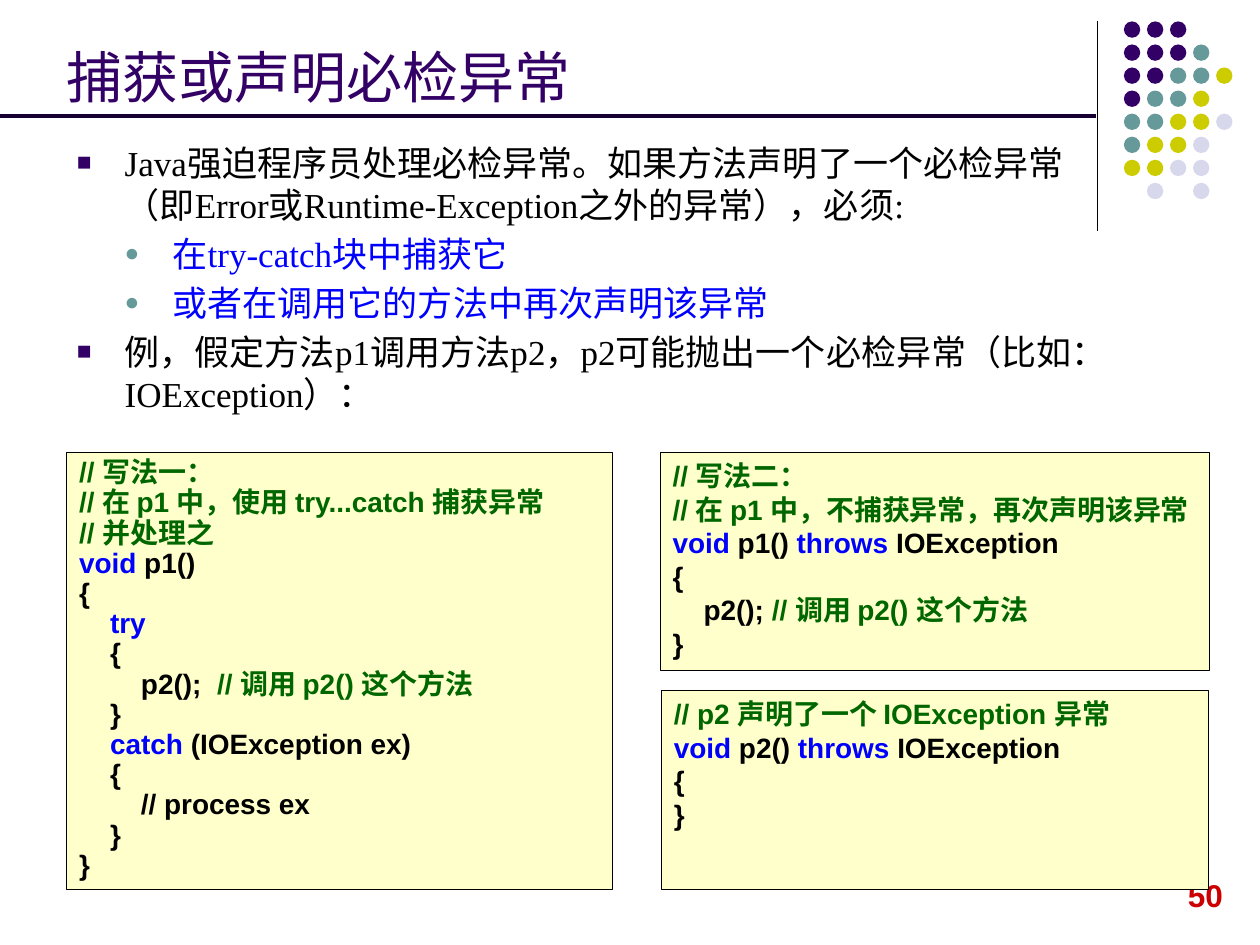
import pptx
import pptx.dml.color
import pptx.enum.shapes
import pptx.enum.text
import pptx.oxml.ns
import pptx.util
import lxml.etree

HUES = {
    "plum": "330066", "teal": "669999", "lime": "CCCC00", "mist": "D8D8EC",
    "rule": "190033", "black": "000000", "blue": "0000FF", "green": "006600",
    "red": "CC0000", "cream": "FFFFCC",
}
CJK = "Noto Sans CJK SC"
DOTS = ["PPP", "PPPT", "PPTTL", "PTTL", "TTLLM", "TLLM", "LLMM", " M M"]
DOT_HUES = {"P": "plum", "T": "teal", "L": "lime", "M": "mist"}
COLS, ROWS = 100, 75

POINTS = [
    (0, "black", ["Java", "强迫程序员处理必检异常。如果方法声明了一个必检异常（即", "Error", "或",
                  "Runtime-Exception", "之外的异常），必须", ":"]),
    (1, "blue", ["在", "try-catch", "块中捕获它"]),
    (1, "blue", ["或者在调用它的方法中再次声明该异常"]),
    (0, "black", ["例，假定方法", "p1", "调用方法", "p2", "，", "p2", "可能抛出一个必检异常（比如：",
                  "IOException", "）："]),
]
CATCH = [
    [("green", "// 写法一：")],
    [("green", "// 在 p1 中，使用 try...catch 捕获异常")],
    [("green", "// 并处理之")],
    [("blue", "void"), ("black", " p1()")],
    [("black", "{")],
    [("blue", "    try")],
    [("black", "    {")],
    [("black", "        p2();  "), ("green", "// 调用 p2() 这个方法")],
    [("black", "    }")],
    [("blue", "    catch"), ("black", " (IOException ex)")],
    [("black", "    {")],
    [("black", "        // process ex")],
    [("black", "    }")],
    [("black", "}")],
]
THROW = [
    [("green", "// 写法二：")],
    [("green", "// 在 p1 中，不捕获异常，再次声明该异常")],
    [("blue", "void"), ("black", " p1() "), ("blue", "throws "), ("black", "IOException")],
    [("black", "{")],
    [("black", "    p2(); "), ("green", "// 调用 p2() 这个方法")],
    [("black", "}")],
]
CALLEE = [
    [("green", "// p2 声明了一个 IOException 异常")],
    [("blue", "void"), ("black", " p2() "), ("blue", "throws"), ("black", " IOException")],
    [("black", "{")],
    [("black", "}")],
]


def grid(*cells):
    """Turn counts of grid cells, a tenth of an inch each, into lengths."""
    return [pptx.util.Inches(cell / 10) for cell in cells]


def paint(hue):
    """Look up a colour by name."""
    return pptx.dml.color.RGBColor.from_string(HUES[hue])


def add_sub(parent, tag, **attrs):
    """Add a drawing element under a parent."""
    return lxml.etree.SubElement(parent, pptx.oxml.ns.qn(tag), **attrs)


def add_run(para, text, hue, size, face, bold=False):
    """Add one run with its Latin and East Asian fonts."""
    run = para.add_run()
    run.text = text
    run.font.size = pptx.util.Pt(size)
    run.font.bold = bold
    run.font.color.rgb = paint(hue)
    run.font.name = face
    add_sub(run.font._element, "a:ea", typeface=CJK)


def next_para(frame, index):
    """Give the first paragraph, or a new one after it."""
    return frame.add_paragraph() if index else frame.paragraphs[0]


def add_line(slide, ends, hue, width):
    """Draw a straight line without a shadow."""
    line = slide.shapes.add_connector(
        pptx.enum.shapes.MSO_CONNECTOR.STRAIGHT, *grid(*ends))
    line.line.color.rgb = paint(hue)
    line.line.width = pptx.util.Pt(width)
    add_sub(line._element.spPr, "a:effectLst")


def add_dots(slide, left, top, step, size):
    """Draw the dot pattern on an even grid."""
    for row, marks in enumerate(DOTS):
        for col, mark in enumerate(marks):
            if mark in DOT_HUES:
                dot = slide.shapes.add_shape(
                    pptx.enum.shapes.MSO_SHAPE.OVAL,
                    *grid(left + col * step, top + row * step, size, size))
                dot.shadow.inherit = False
                dot.fill.solid()
                dot.fill.fore_color.rgb = paint(DOT_HUES[mark])
                dot.line.fill.background()


def place(shape, area):
    """Move a placeholder to an area of the grid."""
    shape.left, shape.top, shape.width, shape.height = grid(*area)
    shape.text_frame.auto_size = pptx.enum.text.MSO_AUTO_SIZE.NONE


def set_title(shape, area, text):
    """Fill the title placeholder."""
    place(shape, area)
    shape.text_frame.vertical_anchor = pptx.enum.text.MSO_ANCHOR.BOTTOM
    para = shape.text_frame.paragraphs[0]
    para.alignment = pptx.enum.text.PP_ALIGN.LEFT
    add_run(para, text, "plum", 32, CJK)


def add_mark(para, level):
    """Give a paragraph its bullet and hanging indent."""
    hue, char = [("plum", "■"), ("teal", "●")][level]
    props = para._p.get_or_add_pPr()
    hang = pptx.util.Inches(0.38)
    props.set("marL", str(hang * (level + 1)))
    props.set("indent", str(-hang))
    add_sub(add_sub(props, "a:buClr"), "a:srgbClr", val=HUES[hue])
    add_sub(props, "a:buSzPct", val="70000")
    add_sub(props, "a:buFont", typeface="Arial")
    add_sub(props, "a:buChar", char=char)


def set_body(shape, area, points):
    """Fill the body placeholder with the bullet list."""
    place(shape, area)
    for index, (level, hue, parts) in enumerate(points):
        para = next_para(shape.text_frame, index)
        para.level = level
        para.space_before = pptx.util.Pt(4 if index else 0)
        add_mark(para, level)
        for part in parts:
            add_run(para, part, hue, 20, "Times New Roman")


def add_code(slide, area, lines, pitch=1.0):
    """Draw a code box, one paragraph a line."""
    box = slide.shapes.add_shape(pptx.enum.shapes.MSO_SHAPE.RECTANGLE, *grid(*area))
    box.shadow.inherit = False
    box.fill.solid()
    box.fill.fore_color.rgb = paint("cream")
    box.line.color.rgb = paint("black")
    box.line.width = pptx.util.Pt(0.75)
    frame = box.text_frame
    frame.word_wrap = False
    frame.vertical_anchor = pptx.enum.text.MSO_ANCHOR.TOP
    for index, runs in enumerate(lines):
        para = next_para(frame, index)
        para.alignment = pptx.enum.text.PP_ALIGN.LEFT
        para.line_spacing = pitch
        for hue, text in runs:
            add_run(para, text, hue, 16, "Arial", True)


def add_page(slide, area, text):
    """Write the page number."""
    frame = slide.shapes.add_textbox(*grid(*area)).text_frame
    frame.word_wrap = False
    add_run(frame.paragraphs[0], text, "red", 18, "Arial", True)


def main():
    """Build the slide and save it."""
    deck = pptx.Presentation()
    deck.slide_width, deck.slide_height = grid(COLS, ROWS)
    slide = deck.slides.add_slide(deck.slide_layouts[1])
    title, body = slide.placeholders
    set_title(title, (4.3, 2.1, 82.5, 7.1), "捕获或声明必检异常")
    set_body(body, (5.1, 10.7, 81.7, 23.6), POINTS)
    add_line(slide, (87.1, 1.7, 87.1, 18.3), "black", 0.75)
    add_dots(slide, 89.2, 1.7, 1.83, 1.3)
    add_page(slide, (93.3, 69, 4.8, 4), "50")
    add_code(slide, (5.3, 35.9, 43.3, 34.7), CATCH, 0.9)
    add_code(slide, (52.4, 35.9, 43.6, 17.3), THROW)
    add_code(slide, (52.5, 54.8, 43.4, 15.8), CALLEE)
    add_line(slide, (0, 9.2, 87, 9.2), "rule", 2.25)
    deck.save("out.pptx")


if __name__ == "__main__":
    main()
